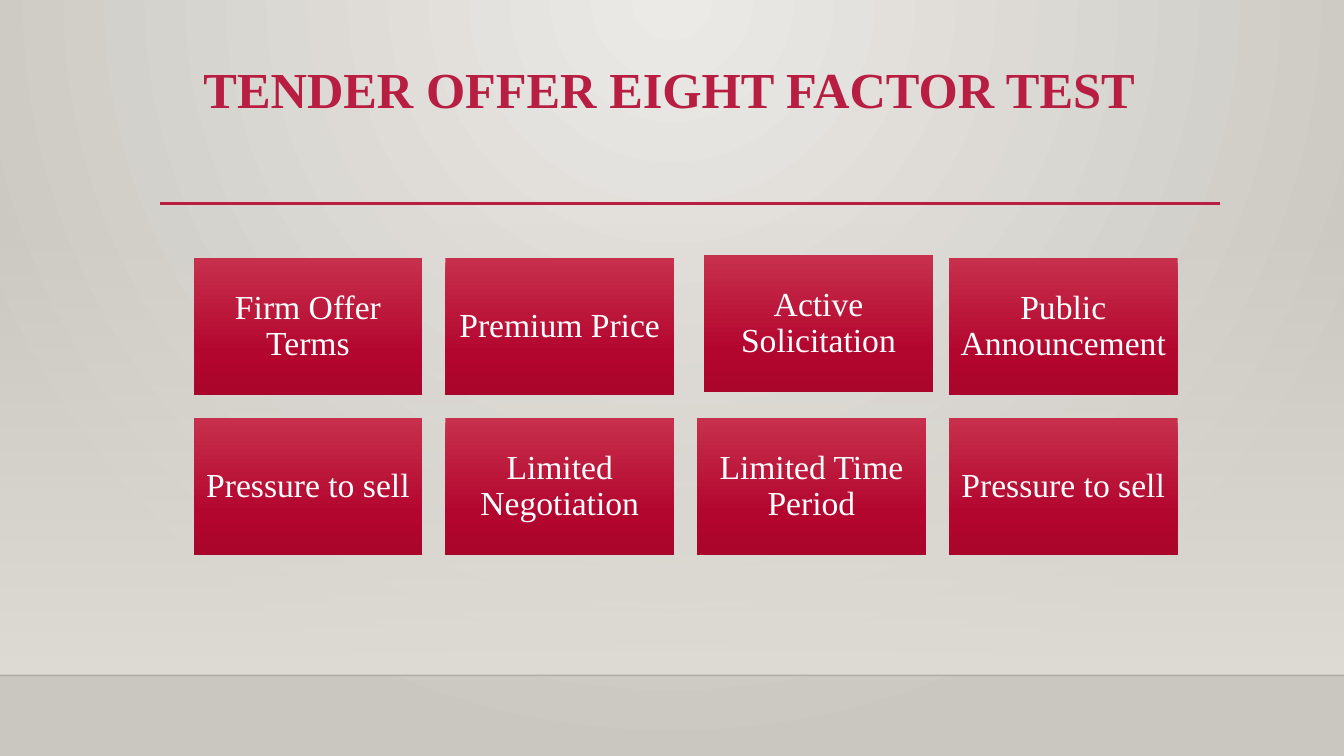
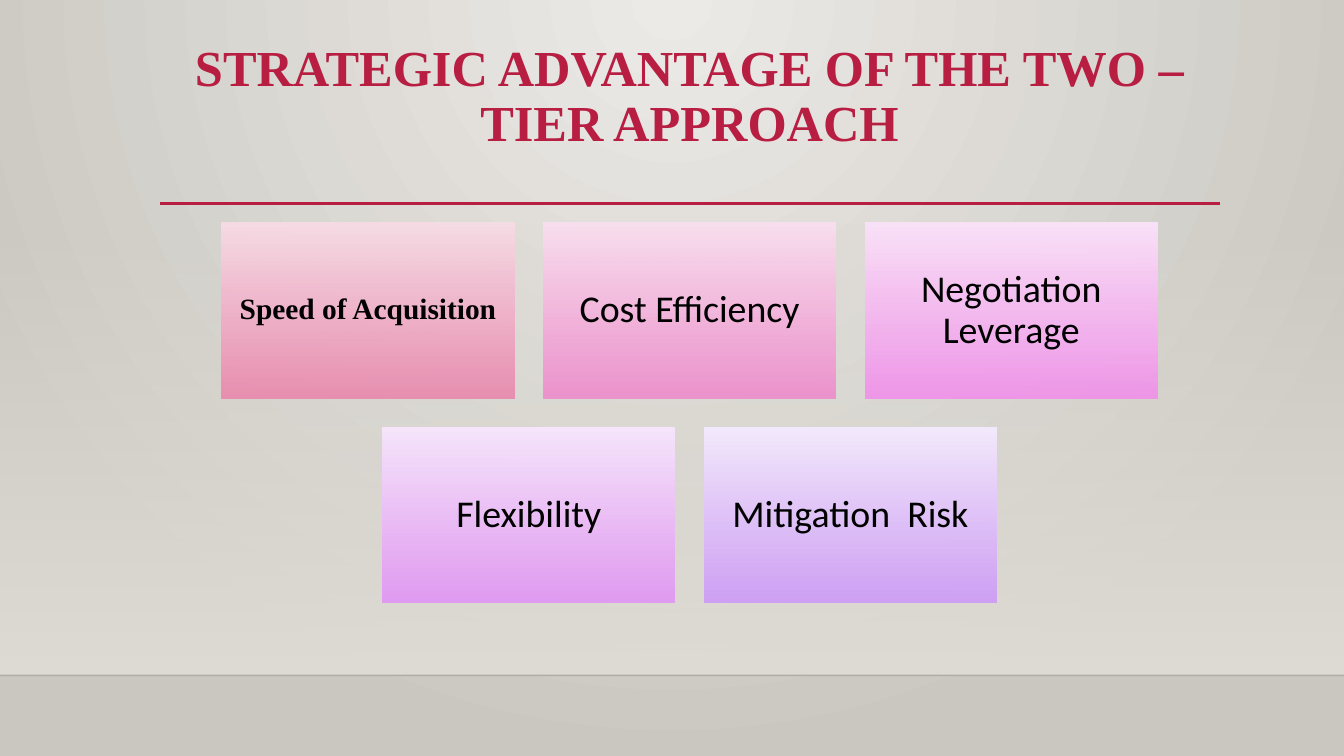
from lxml import etree
from pptx import Presentation
from pptx.dml.color import RGBColor as RGB
from pptx.enum.shapes import MSO_CONNECTOR as Conn, MSO_SHAPE as Geo
from pptx.enum.text import MSO_ANCHOR as Anchor, PP_ALIGN as Align
from pptx.oxml.ns import qn
from pptx.util import Inches, Pt

# Shared style
WIDE, HIGH = 13.33, 7.5
FLOOR = 6.7
SERIF, SANS = "Times New Roman", "Calibri"
RED = RGB(0xB7, 0x1E, 0x42)
WHITE = RGB(0xFF, 0xFF, 0xFF)
BLACK = RGB(0, 0, 0)
SAND = RGB(0xDF, 0xDB, 0xD5)
LIGHT = RGB(0xEC, 0xEA, 0xE7)
STONE = RGB(0xCA, 0xC7, 0xC1)

# Gradient stops: position %, colour, opacity %
BACK = [(0, LIGHT, 100), (100, STONE, 100)]
FADE = [(0, SAND, 0), (100, SAND, 100)]
CRIMSON = [(0, RGB(0xC7, 0x30, 0x4C), 100), (69, RGB(0xB3, 0x06, 0x2F), 100),
           (100, RGB(0xAA, 0x06, 0x2C), 100)]


def tint(top, low):
    return [(0, top, 100), (100, low, 92)]


PINK = tint(RGB(0xF7, 0xDC, 0xE5), RGB(0xEA, 0x8A, 0xAE))
ROSE = tint(RGB(0xF9, 0xDF, 0xEF), RGB(0xEE, 0x8E, 0xCC))
ORCHID = tint(RGB(0xFA, 0xE2, 0xF8), RGB(0xF1, 0x92, 0xEA))
MAUVE = tint(RGB(0xF7, 0xE6, 0xFC), RGB(0xE1, 0x97, 0xF4))
LILAC = tint(RGB(0xF4, 0xEA, 0xFD), RGB(0xCE, 0x9C, 0xF7))

# Content: each card is its text, its fill and any change of format
FACTOR = dict(size=24, font=SERIF, color=WHITE, pad=0.1)
GAIN = dict(size=27, font=SANS, color=BLACK, pad=0.11)
SLIDES = [
    dict(title="TENDER OFFER EIGHT FACTOR TEST",
         box=(1.92, 0.6, 10.5, 1.15), align=Align.LEFT,
         mid=6.8, top=2.56, card=2.27, style=FACTOR,
         rows=[[("Firm Offer Terms", CRIMSON, {}),
                ("Premium Price", CRIMSON, {}),
                ("Active Solicitation", CRIMSON, dict(shift=(0.07, -0.03))),
                ("Public Announcement", CRIMSON, {})],
               [("Pressure to sell", CRIMSON, {}),
                ("Limited Negotiation", CRIMSON, {}),
                ("Limited Time Period", CRIMSON, {}),
                ("Pressure to sell", CRIMSON, {})]]),
    dict(title="STRATEGIC ADVANTAGE OF THE TWO –TIER APPROACH",
         box=(1.59, 0.38, 10.5, 1.15), align=Align.CENTER,
         mid=6.84, top=2.21, card=2.9, style=GAIN,
         rows=[[("Speed of Acquisition", PINK,
                 dict(size=21, font=SERIF, bold=True)),
                ("Cost Efficiency", ROSE, {}),
                ("Negotiation Leverage", ORCHID, {})],
               [("Flexibility", MAUVE, {}),
                ("Mitigation  Risk", LILAC, {})]]),
]


def shade(fill, root, stops, glow=False):
    """Fill with a gradient: downward, or a glow from the top centre."""
    fill.gradient()
    grad = next(root.iter(qn("a:gradFill")))
    grad.clear()
    group = etree.SubElement(grad, qn("a:gsLst"))
    for pos, color, alpha in stops:
        stop = etree.SubElement(group, qn("a:gs"), pos=str(pos * 1000))
        tone = etree.SubElement(stop, qn("a:srgbClr"), val=str(color))
        if alpha < 100:
            etree.SubElement(tone, qn("a:alpha"), val=str(alpha * 1000))
    if glow:
        way = etree.SubElement(grad, qn("a:path"), path="circle")
        etree.SubElement(way, qn("a:fillToRect"),
                         l="43000", t="0", r="43000", b="100000")
    else:
        etree.SubElement(grad, qn("a:lin"), ang="5400000", scaled="0")


def block(slide, box, stops):
    shape = slide.shapes.add_shape(Geo.RECTANGLE, *map(Inches, box))
    shape.shadow.inherit = False
    shape.line.fill.background()
    shade(shape.fill, shape._element, stops)
    return shape


def rule(slide, left, right, y, color, width, alpha=100):
    line = slide.shapes.add_connector(
        Conn.STRAIGHT, *map(Inches, (left, y, right, y)))
    line.line.color.rgb = color
    line.line.width = Pt(width)
    props = line._element.spPr
    tone = next(props.iter(qn("a:srgbClr")))
    etree.SubElement(tone, qn("a:alpha"), val=str(alpha * 1000))
    etree.SubElement(props, qn("a:effectLst"))


def write(shape, text, size, font, color, bold=False, align=Align.CENTER,
          anchor=Anchor.MIDDLE, pad=0.1):
    frame = shape.text_frame
    frame.word_wrap = True
    frame.vertical_anchor = anchor
    frame.margin_left = frame.margin_right = Inches(pad)
    frame.margin_top = frame.margin_bottom = Inches(pad / 2)
    para = frame.paragraphs[0]
    para.alignment = align
    para.line_spacing = 0.9
    run = para.add_run()
    run.text = text
    run.font.size = Pt(size)
    run.font.name = font
    run.font.bold = bold
    run.font.color.rgb = color


def stage(slide):
    """Wall, floor edge and the rule under the title."""
    block(slide, (0, 2.21, WIDE, FLOOR - 2.21), FADE)
    rule(slide, 0, WIDE, FLOOR, BLACK, 1, alpha=20)
    rule(slide, 1.59, 12.1, 2.02, RED, 2.5)


def cards(slide, page):
    """Rows of cards, each row centred on the same axis."""
    wide = page["card"]
    high, gap = wide * 0.6, wide * 0.1
    for r, row in enumerate(page["rows"]):
        left = page["mid"] - (len(row) * (wide + gap) - gap) / 2
        y = page["top"] + r * (high + gap)
        for c, (text, stops, extra) in enumerate(row):
            look = {**page["style"], **extra}
            dx, dy = look.pop("shift", (0, 0))
            box = (left + c * (wide + gap) + dx, y + dy, wide, high)
            write(block(slide, box, stops), text, **look)


def main():
    prs = Presentation()
    prs.slide_width, prs.slide_height = Inches(WIDE), Inches(HIGH)
    master = prs.slide_master
    shade(master.background.fill, master._element, BACK, glow=True)
    for page in SLIDES:
        slide = prs.slides.add_slide(prs.slide_layouts[6])
        stage(slide)
        title = slide.shapes.add_textbox(*map(Inches, page["box"]))
        write(title, page["title"], 36, SERIF, RED, bold=True,
              align=page["align"], anchor=Anchor.TOP)
        cards(slide, page)
    prs.save("out.pptx")


if __name__ == "__main__":
    main()
